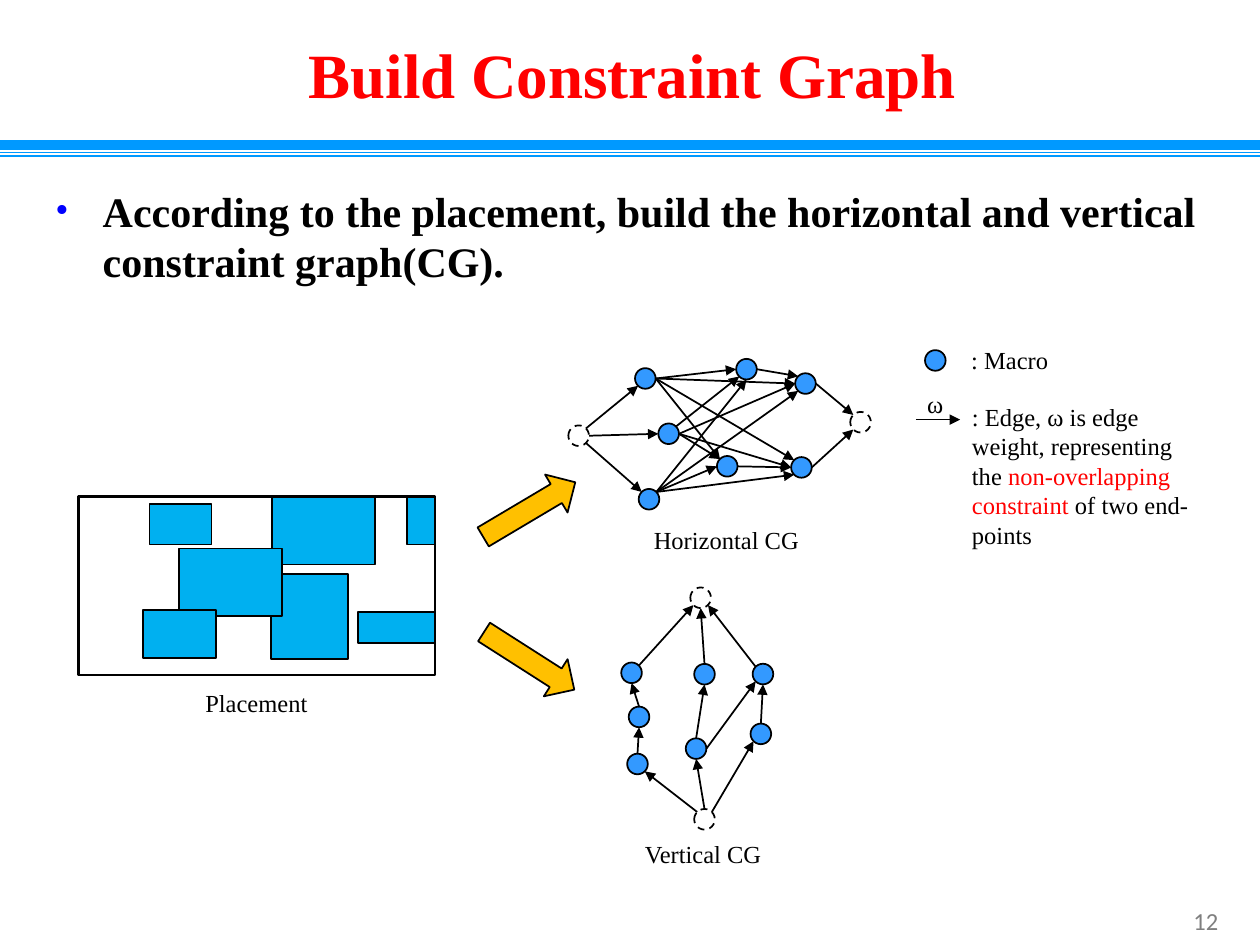
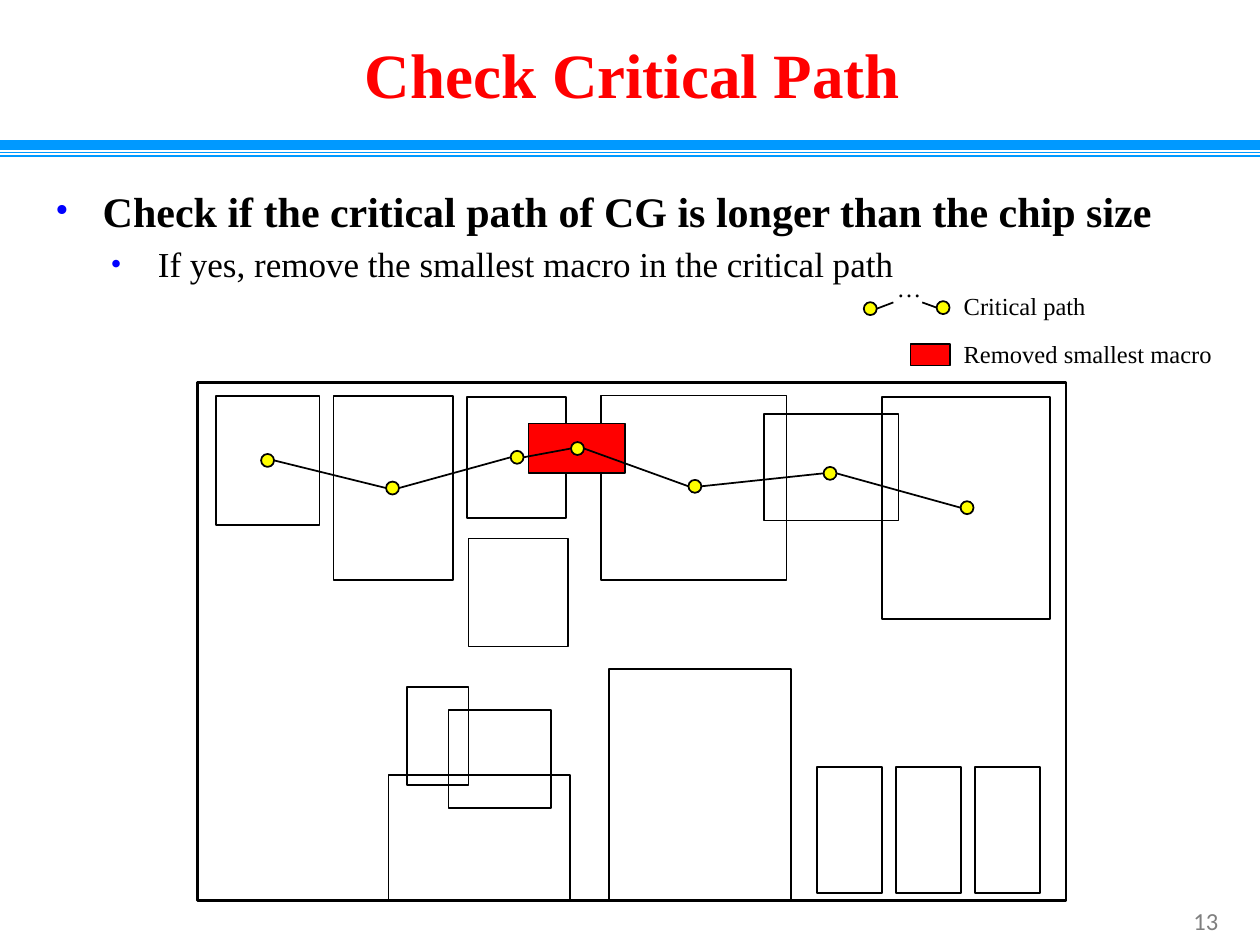
from itertools import pairwise
from math import cos, radians, sin

from lxml import etree
from pptx import Presentation
from pptx import util as u
from pptx.dml import color
from pptx.enum import dml, shapes, text
from pptx.oxml import ns

Pt = u.Pt
BLACK, RED, YELLOW = "000000", "FF0000", "FFFF00"
NODE_BLUE, MACRO_BLUE, BAND_BLUE = "3399FF", "00B0F0", "0099FF"
BULLET_BLUE, ARROW_GOLD, GREY = "0000FF", "FFC000", "7F7F7F"

TITLE = {"name": "Times New Roman", "size": Pt(36), "bold": True}
BODY = [{"name": "Times New Roman", "size": Pt(24), "bold": True},
        {"name": "Times New Roman", "size": Pt(20), "bold": False}]
LABEL = {"name": "Times New Roman", "size": Pt(14)}
NUMBER = {"name": "Calibri", "size": Pt(14)}
BANDS = [(82.8, 6), (87.1, 1), (89.3, 1)]
COMPASS = {d: 45 * i for i, d in enumerate("E SE S SW W NW N NE".split())}
NODE, DOT = 11.8, 7.4

HORIZONTAL_NODES = {
    "a": (368.8, 216.3), "b": (382.1, 247.9), "c": (370.9, 285.3),
    "d": (426.6, 211), "e": (415.6, 266.5), "f": (460.3, 219.2),
    "g": (458, 267.1), "source": (330.7, 249), "sink": (491.8, 241.3)}
HORIZONTAL_EDGES = """a E d W, a E f W, a E e NW, a E g NW, b NE d SW,
    b E e NW, b E f W, b E g W, e E g W, d E f NW, c NE d S, c NE e W,
    c NE f SW, c NE g SW, source NE a SW, source E b W, source SE c NW,
    f E sink NW, g E sink SW"""
VERTICAL_NODES = {
    "a": (360.9, 384.5), "b": (365.2, 409.7), "c": (364.3, 436.6),
    "d": (402.6, 385.3), "e": (397.8, 427.8), "f": (436, 385.2),
    "g": (434.8, 419.4), "source": (402.6, 468.2), "sink": (400.4, 341.6)}
VERTICAL_EDGES = """c N b S, b N a S, e N d S, g N f S, source NE g SW,
    source N e S, source NW c SE, e E f SW, d N sink S, a NE sink SW,
    f NW sink SE"""

PLACED_MACROS = [
    (155.4, 284.2, 59, 38.5), (154.9, 328, 44, 48.6), (85.4, 288, 35.4, 23.2),
    (102.2, 313.5, 59, 38.5), (81.8, 348.6, 41.7, 27.4),
    (204.6, 349.8, 44.1, 17.8), (232.6, 284.2, 16.2, 27)]
CHIP_MACROS = [
    (504.2, 226.7, 96, 127), (266.7, 226.7, 56.6, 69.3),
    (123.6, 226.3, 59, 73.8), (190.6, 226.3, 68.2, 105),
    (343.5, 226, 106, 105.3), (222, 442.8, 103.8, 71.8),
    (256.3, 405.7, 58.8, 56.2), (348.2, 382.3, 103.8, 132.3),
    (232.6, 392.6, 35.2, 56.2), (267.8, 307.7, 56.6, 61.8),
    (436.5, 236.5, 77, 61)]
CHIP_MACROS += [(466.8 + 45.1 * i, 438.5, 37.4, 72) for i in range(3)]
CRITICAL_PATH = [(152.9, 263.1), (224.3, 278.9), (295.5, 261.3),
                 (330, 256.3), (397.1, 277.9), (474.3, 270.5), (552.6, 290.1)]


def rgb(value):
    """Turn a hex string into a colour."""
    return color.RGBColor.from_string(value)


def place(sp, box):
    """Set position and size of a shape from a box in points."""
    for key, value in zip(("left", "top", "width", "height"), box):
        setattr(sp, key, Pt(value))


def add_run(p, words, fmt, ink=BLACK):
    """Add a formatted run to a paragraph."""
    r = p.add_run()
    r.text = words
    for key, value in fmt.items():
        setattr(r.font, key, value)
    r.font.color.rgb = rgb(ink)


def add_shape(s, kind, box, fill=None, width=1, dashed=False):
    """Draw a black-outlined preset shape."""
    sp = s.shapes.add_shape(kind, *map(Pt, box))
    sp.shadow.inherit = False
    if fill:
        sp.fill.solid()
        sp.fill.fore_color.rgb = rgb(fill)
    else:
        sp.fill.background()
    sp.line.color.rgb = rgb(BLACK)
    sp.line.width = Pt(width)
    if dashed:
        sp.line.dash_style = dml.MSO_LINE.DASH
    return sp


def add_rect(s, box, fill=None, width=1):
    """Draw a rectangle."""
    return add_shape(s, shapes.MSO_SHAPE.RECTANGLE, box, fill, width)


def add_circle(s, centre, size, fill=None):
    """Draw a circle round a centre, dashed when it has no fill."""
    x, y = centre
    box = (x - size / 2, y - size / 2, size, size)
    add_shape(s, shapes.MSO_SHAPE.OVAL, box, fill, dashed=not fill)


def add_line(s, start, end, ink=BLACK, width=1, arrow=False):
    """Draw a straight line, with an arrowhead at its end if asked."""
    c = s.shapes.add_connector(shapes.MSO_CONNECTOR.STRAIGHT,
                               *map(Pt, (*start, *end)))
    c.line.color.rgb = rgb(ink)
    c.line.width = Pt(width)
    spPr = c.element.spPr
    if arrow:
        ln = spPr.find(ns.qn("a:ln"))
        etree.SubElement(ln, ns.qn("a:tailEnd"), type="triangle")
    etree.SubElement(spPr, ns.qn("a:effectLst"))


def add_text(s, box, runs, fmt=LABEL, wrap=False, align=text.PP_ALIGN.LEFT):
    """Add a text box of (words, colour) runs."""
    tf = s.shapes.add_textbox(*map(Pt, box)).text_frame
    tf.word_wrap = wrap
    tf.auto_size = text.MSO_AUTO_SIZE.SHAPE_TO_FIT_TEXT
    p = tf.paragraphs[0]
    p.alignment = align
    for words, ink in runs:
        add_run(p, words, fmt, ink)


def rim(centre, size, direction):
    """Find the point of a circle that lies in a compass direction."""
    angle = radians(COMPASS[direction])
    x, y = centre
    return x + size / 2 * cos(angle), y + size / 2 * sin(angle)


def add_graph(s, nodes, edges):
    """Draw a constraint graph with dashed source and sink."""
    for name, centre in nodes.items():
        add_circle(s, centre, NODE, NODE_BLUE if len(name) == 1 else None)
    for edge in edges.split(","):
        tail, leave, head, enter = edge.split()
        add_line(s, rim(nodes[tail], NODE, leave),
                 rim(nodes[head], NODE, enter), arrow=True)


def add_bullet(p, level, words):
    """Fill a paragraph as a bullet of the given level."""
    p.level = level
    pPr = p._p.get_or_add_pPr()
    pPr.set("marL", str(Pt(27 + 31.5 * level)))
    pPr.set("indent", str(Pt(-27)))
    clr = etree.SubElement(pPr, ns.qn("a:buClr"))
    etree.SubElement(clr, ns.qn("a:srgbClr"), val=BULLET_BLUE)
    etree.SubElement(pPr, ns.qn("a:buSzPct"), val="90000")
    etree.SubElement(pPr, ns.qn("a:buFont"), typeface="Times New Roman")
    etree.SubElement(pPr, ns.qn("a:buChar"), char="•")
    add_run(p, words, BODY[level])


def add_slide(prs, number, title, bullets):
    """Add a slide with bands, title, bullets and number."""
    s = prs.slides.add_slide(prs.slide_layouts[1])
    for y, width in BANDS:
        add_line(s, (-0.7, y), (720, y), BAND_BLUE, width)

    sp = s.shapes.title
    place(sp, (23.8, 18, 675.4, 48.2))
    tf = sp.text_frame
    for side in ("left", "top", "right", "bottom"):
        setattr(tf, f"margin_{side}", 0)
    tf.vertical_anchor = text.MSO_ANCHOR.MIDDLE
    tf.auto_size = text.MSO_AUTO_SIZE.NONE
    tf.paragraphs[0].alignment = text.PP_ALIGN.CENTER
    add_run(tf.paragraphs[0], title, TITLE, RED)

    sp = s.placeholders[1]
    place(sp, (24.5, 102.2, 674.6, 409.7))
    tf = sp.text_frame
    tf.auto_size = text.MSO_AUTO_SIZE.NONE
    for level, words in enumerate(bullets):
        p = tf.add_paragraph() if level else tf.paragraphs[0]
        add_bullet(p, level, words)

    add_text(s, (659.5, 514.1, 59, 24.5), [(str(number), GREY)], NUMBER,
             wrap=True, align=text.PP_ALIGN.CENTER)
    return s


def build_constraint_graph(prs):
    """Show the placement and the two graphs made from it."""
    s = add_slide(prs, 12, "Build Constraint Graph", [
        "According to the placement, build the horizontal and vertical "
        "constraint graph(CG)."])
    add_graph(s, HORIZONTAL_NODES, HORIZONTAL_EDGES)
    add_graph(s, VERTICAL_NODES, VERTICAL_EDGES)
    for box in PLACED_MACROS:
        add_rect(s, box, MACRO_BLUE)
    add_rect(s, (44.8, 283.7, 203.8, 102), width=1.5)
    for top, turn in ((260.6, 239.3), (347, 302.6)):
        sp = add_shape(s, shapes.MSO_SHAPE.DOWN_ARROW,
                       (289.8, top, 25.2, 61.2), ARROW_GOLD)
        sp.rotation = turn
    for x, y, width, words in ((366.5, 296.6, 102.2, "Horizontal CG"),
                               (361.4, 475.9, 82.1, "Vertical CG"),
                               (110.2, 389.5, 73.4, "Placement"),
                               (547.9, 193.7, 59, ": Macro"),
                               (522.7, 218.9, 23.8, "ω")):
        add_text(s, (x, y, width, 24.5), [(words, BLACK)])
    add_circle(s, (534.5, 206), NODE, NODE_BLUE)
    add_line(s, (523.4, 239.8), (548.6, 239.8), arrow=True)
    add_text(s, (548.3, 226.1, 142.6, 92.2), [
        (": Edge, ω is edge weight, representing the ", BLACK),
        ("non-overlapping constraint ", RED),
        ("of two end-points", BLACK)], wrap=True)


def build_critical_path(prs):
    """Show the critical path through the chip and its legend."""
    s = add_slide(prs, 13, "Check Critical Path", [
        "Check if the critical path of CG is longer than the chip size",
        "If yes, remove the smallest macro in the critical path"])
    add_rect(s, (112.8, 218.5, 496.4, 296), width=1.5)
    for box in CHIP_MACROS:
        add_rect(s, box)
    add_rect(s, (302, 242, 55.2, 28.4), RED)
    for centre in CRITICAL_PATH:
        add_circle(s, centre, DOT, YELLOW)
    for here, there in pairwise(CRITICAL_PATH):
        add_line(s, rim(here, DOT, "E"), rim(there, DOT, "W"))

    first, last = (497.3, 176.4), (538.9, 175.8)
    for centre in (first, last):
        add_circle(s, centre, DOT, YELLOW)
    add_line(s, rim(first, DOT, "E"), (510.5, 172.8))
    add_line(s, (527, 172.8), rim(last, DOT, "W"))
    add_rect(s, (520.2, 196.7, 22.6, 12.2), RED)
    for x, y, width, words in ((505.4, 152.6, 28.8, "…"),
                               (543.6, 162.7, 85, "Critical path"),
                               (543.6, 190.1, 161.3, "Removed smallest macro")):
        add_text(s, (x, y, width, 24.5), [(words, BLACK)])


def main():
    """Build and save the presentation."""
    prs = Presentation()
    prs.slide_width, prs.slide_height = Pt(720), Pt(540)
    build_constraint_graph(prs)
    build_critical_path(prs)
    prs.save("out.pptx")


if __name__ == "__main__":
    main()
